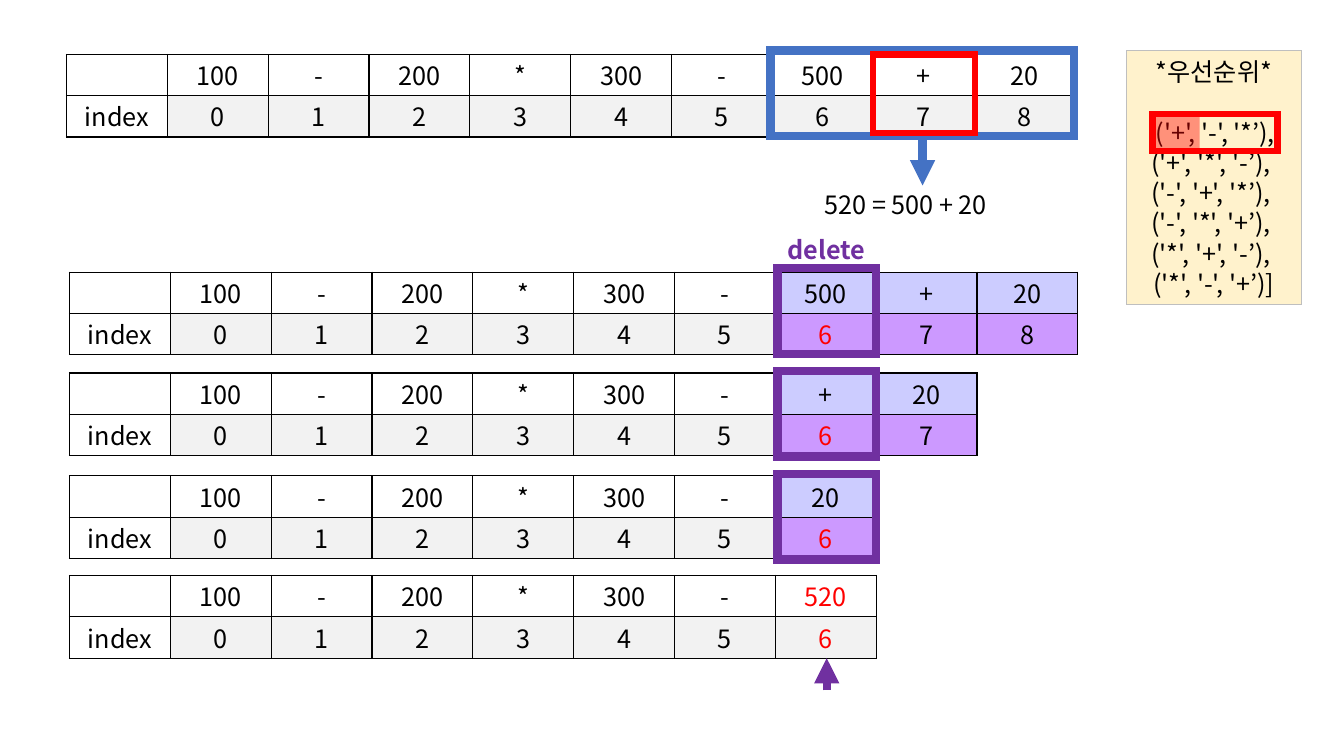
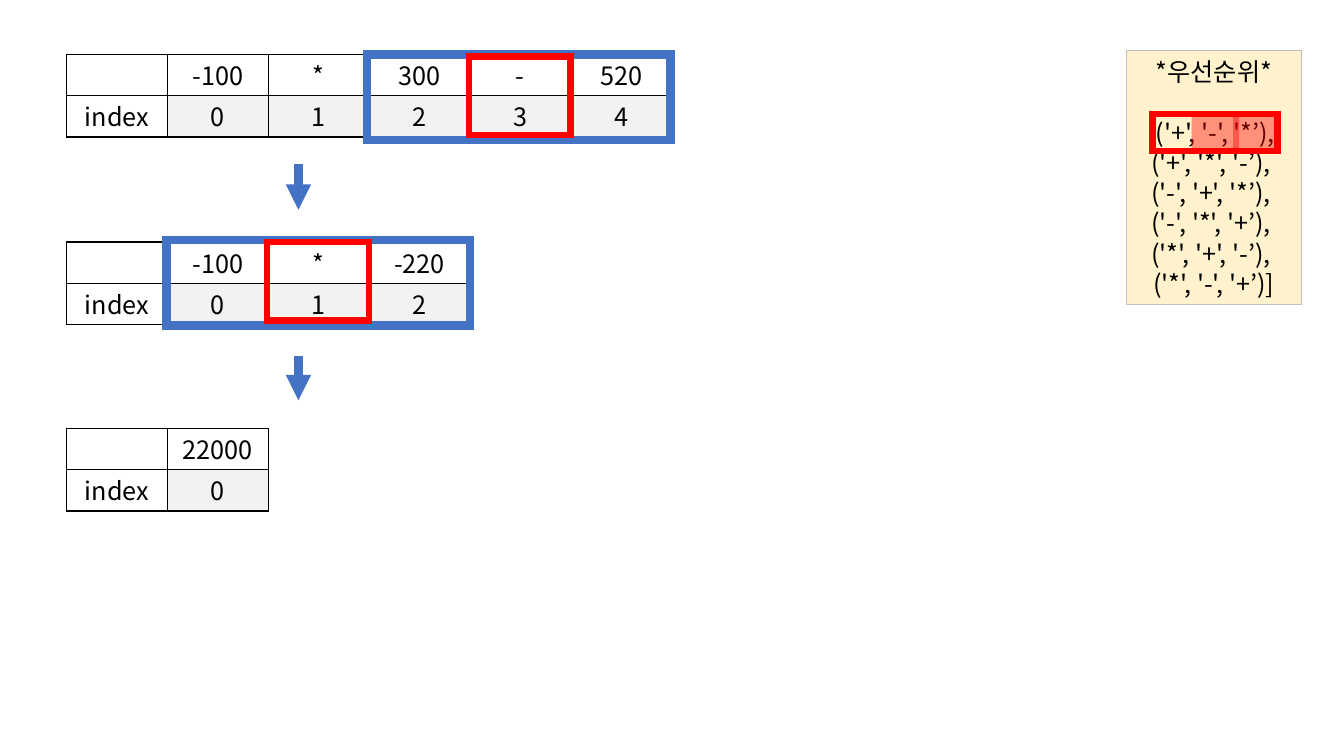
from lxml import etree
from pptx import Presentation
from pptx.dml.color import RGBColor
from pptx.enum.shapes import MSO_CONNECTOR, MSO_SHAPE
from pptx.enum.text import MSO_ANCHOR, PP_ALIGN
from pptx.oxml import parse_xml
from pptx.oxml.ns import nsdecls, qn
from pptx.util import Inches, Pt

# Shared style
rgb = RGBColor.from_string
FONT = "Noto Sans CJK KR"
BLACK, RED, BLUE, PURPLE = "000000", "FF0000", "4472C4", "7030A0"
GREY, LILAC, VIOLET = "F2F2F2", "CCCCFF", "CC99FF"
COLUMN, ROW = 1, 0.41
LEFT, STEP_LEFT, TOP = 0.66, 0.69, 0.54
# Tight margins keep the 18 pt text inside the row height
CELL_MARGINS = {"margin_top": Inches(0.02), "margin_bottom": 0}

# Frame kinds: width, height, line colour, line width
FRAMES = {
    "expression": (3.01, 0.85, BLUE, 6),
    "operator": (1.01, 0.78, RED, 4.5),
    "delete": (0.98, 0.85, PURPLE, 6),
    "priority": (1.24, 0.37, RED, 4.5),
}
PRIORITIES = [
    "*우선순위*",
    "[('+', '-', '*’), ",
    "('+', '*', '-’), ",
    "('-', '+', '*’), ",
    "('-', '*', '+’), ",
    "('*', '+', '-’), ",
    "('*', '-', '+’)]",
]

# tables: left, top, values, first index, first index to shade
# frames: kind, left, top; marks: left, top
# arrows: x, start y, end y, colour; labels: text, left, top, width, colour, bold
SLIDES = [
    {
        "tables": [
            (LEFT, TOP, "100 - 200 * 300 - 500 + 20", 0, None),
            (STEP_LEFT, 2.7, "100 - 200 * 300 - 500 + 20", 0, 6),
            (STEP_LEFT, 3.7, "100 - 200 * 300 - + 20", 0, 6),
            (STEP_LEFT, 4.72, "100 - 200 * 300 - 20", 0, 6),
            (STEP_LEFT, 5.71, "100 - 200 * 300 -", 0, None),
            (STEP_LEFT + 7 * COLUMN, 5.71, "520", 6, None),
        ],
        "marks": [(11.43, 1.13)],
        "frames": [
            ("expression", 7.64, 0.5), ("operator", 8.66, 0.54),
            ("delete", 7.71, 2.66), ("delete", 7.71, 3.68), ("delete", 7.71, 4.7),
        ],
        "arrows": [(8.2, 6.85, 6.53, PURPLE), (9.15, 1.35, 1.84, BLUE)],
        "labels": [
            ("delete", 7.71, 2.28, 0.98, PURPLE, True),
            ("520 = 500 + 20", 8.08, 1.83, 2.14, BLACK, False),
        ],
    },
    {
        "tables": [
            (LEFT, TOP, "-100 * 300 - 520", 0, None),
            (LEFT, 2.4, "-100 * -220", 0, None),
            (LEFT, 4.25, "22000", 0, None),
        ],
        "marks": [(11.82, 1.13), (12.23, 1.14)],
        "frames": [
            ("expression", 3.64, 0.54), ("operator", 4.65, 0.56),
            ("expression", 1.65, 2.38), ("operator", 2.65, 2.4),
        ],
        "arrows": [(2.96, 1.63, 2.08, BLUE), (2.96, 3.53, 3.97, BLUE)],
        "labels": [],
    },
]


def write(paragraph, text, color=BLACK, bold=False, align=PP_ALIGN.CENTER):
    paragraph.alignment = align
    run = paragraph.add_run()
    run.text = text
    for name, value in {"name": FONT, "size": Pt(18), "bold": bold}.items():
        setattr(run.font, name, value)
    run.font.color.rgb = rgb(color)
    etree.SubElement(run.font._element, qn("a:ea")).set("typeface", FONT)


def add_box(slide, left, top, width, height, fill=None, line=None, weight=0):
    shape = slide.shapes.add_shape(
        MSO_SHAPE.RECTANGLE, Inches(left), Inches(top), Inches(width), Inches(height))
    shape.shadow.inherit = False
    if fill:
        shape.fill.solid()
        shape.fill.fore_color.rgb = rgb(fill)
    else:
        shape.fill.background()
    if line:
        shape.line.color.rgb = rgb(line)
        shape.line.width = Pt(weight)
        etree.SubElement(shape.line._get_or_add_ln(), qn("a:miter")).set("lim", "800000")
    else:
        shape.line.fill.background()
    return shape


presentation = Presentation()
presentation.slide_width, presentation.slide_height = Inches(13.33), Inches(7.5)

for content in SLIDES:
    slide = presentation.slides.add_slide(presentation.slide_layouts[6])

    # Expression tables: values above their indexes
    for left, top, values, first, shaded_from in content["tables"]:
        values = values.split()
        is_result = first > 0
        cells = [] if is_result else [("", "index", None)]
        cells += [(value, str(i), i) for i, value in enumerate(values, first)]
        table = slide.shapes.add_table(
            2, len(cells), Inches(left), Inches(top),
            Inches(COLUMN * len(cells)), Inches(2 * ROW)).table
        table.first_row = table.horz_banding = False
        for row in table.rows:
            row.height = Inches(ROW)
        for column, (value, label, index) in enumerate(cells):
            table.columns[column].width = Inches(COLUMN)
            shaded = None not in (index, shaded_from) and index >= shaded_from
            fills = (LILAC, VIOLET) if shaded else (None, None if index is None else GREY)
            label_red = is_result or (shaded and index == shaded_from)
            colors = (RED if is_result else BLACK, RED if label_red else BLACK)
            for row, text in enumerate((value, label)):
                cell = table.cell(row, column)
                for name, margin in CELL_MARGINS.items():
                    setattr(cell, name, margin)
                if text:
                    write(cell.text_frame.paragraphs[0], text, colors[row])
                properties = cell._tc.get_or_add_tcPr()
                for side in ("lnL", "lnR", "lnT", "lnB"):
                    properties.append(parse_xml(
                        f'<a:{side} {nsdecls("a")} w="12700"><a:solidFill>'
                        f'<a:srgbClr val="{BLACK}"/></a:solidFill></a:{side}>'))
                if fills[row]:
                    cell.fill.solid()
                    cell.fill.fore_color.rgb = rgb(fills[row])
                else:
                    cell.fill.background()

    # Operator priority list
    panel = add_box(slide, 11.17, 0.5, 1.74, 2.52, "FFF2CC", "BFBFBF", 0.75)
    panel.text_frame.word_wrap = True
    panel.text_frame.vertical_anchor = MSO_ANCHOR.MIDDLE
    for number, text in enumerate(PRIORITIES):
        paragraph = (panel.text_frame.add_paragraph() if number
                     else panel.text_frame.paragraphs[0])
        write(paragraph, text)
        paragraph.line_spacing = Pt(21.6)
        paragraph.space_before = Pt(21.6 if number == 1 else 0)

    # Translucent marks on the current operators
    for left, top in content["marks"]:
        mark = add_box(slide, left, top, 0.47, 0.37, RED)
        color = mark._element.spPr.find(qn("a:solidFill")).find(qn("a:srgbClr"))
        etree.SubElement(color, qn("a:alpha")).set("val", "40000")

    # Frames around the active cells
    for kind, left, top in [("priority", 11.43, 1.13)] + content["frames"]:
        width, height, color, weight = FRAMES[kind]
        add_box(slide, left, top, width, height, None, color, weight)

    # Arrows
    for x, start, end, color in content["arrows"]:
        arrow = slide.shapes.add_connector(
            MSO_CONNECTOR.STRAIGHT, Inches(x), Inches(start), Inches(x), Inches(end))
        arrow.line.color.rgb = rgb(color)
        arrow.line.width = Pt(6)
        etree.SubElement(arrow.line._get_or_add_ln(), qn("a:tailEnd")).set("type", "triangle")
        etree.SubElement(arrow._element.spPr, qn("a:effectLst"))

    # Labels
    for text, left, top, width, color, bold in content["labels"]:
        label = slide.shapes.add_textbox(
            Inches(left), Inches(top), Inches(width), Inches(0.4))
        label.text_frame.word_wrap = True
        write(label.text_frame.paragraphs[0], text, color, bold, PP_ALIGN.LEFT)

presentation.save("out.pptx")
